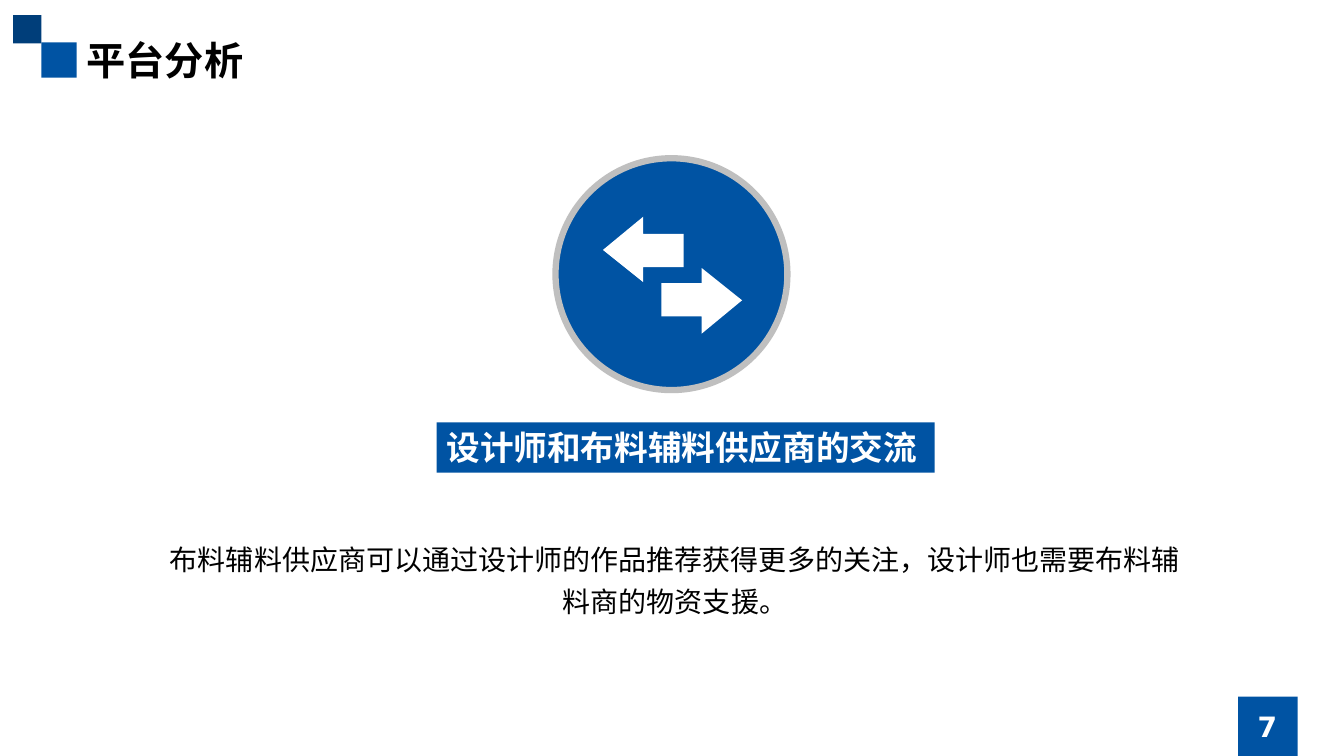
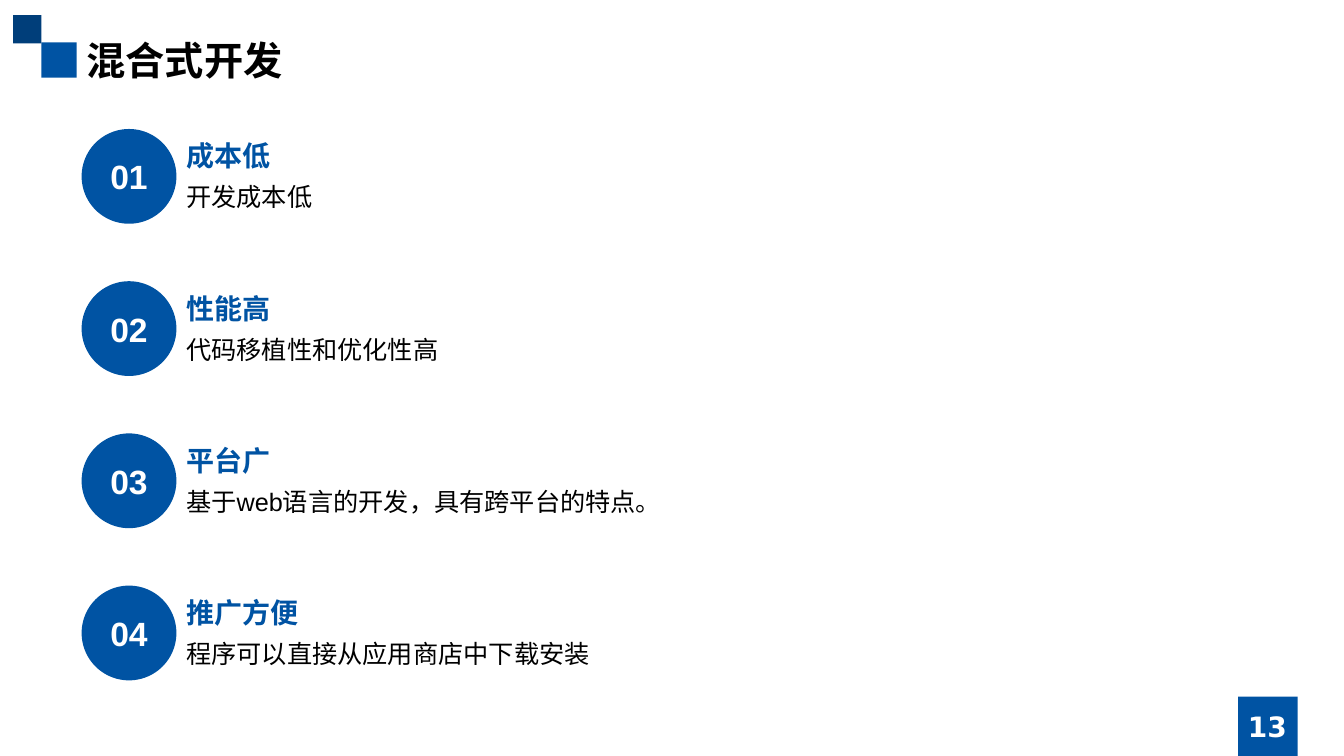
from dataclasses import dataclass

from lxml.etree import SubElement
from pptx import Presentation
from pptx.dml.color import RGBColor
from pptx.enum.shapes import MSO_SHAPE as Shp
from pptx.enum.text import MSO_ANCHOR as Anchor, MSO_AUTO_SIZE as AutoSize, PP_ALIGN as Align
from pptx.oxml.ns import qn
from pptx.presentation import Presentation as Deck
from pptx.shapes.autoshape import Shape
from pptx.slide import Slide
from pptx.util import Emu, Pt

EMU_PER_PX = 9144
COLORS = {"blue": "0053A3", "navy": "003E7A", "gray": "BFBFBF", "white": "FFFFFF", "black": "000000"}
CJK = "Noto Sans CJK SC"


@dataclass(frozen=True)
class Box:
    x: int
    y: int
    w: int
    h: int


@dataclass(frozen=True)
class Style:
    size: int
    color: str
    font: str
    bold: bool = False
    align: Align = Align.LEFT
    anchor: Anchor = Anchor.TOP
    spacing: float = 1.0


@dataclass(frozen=True)
class Band:
    box: Box
    color: str


@dataclass(frozen=True)
class Benefit:
    heading: str
    detail: str


TITLE = Style(28, "black", CJK, bold=True)
PAGE = Style(20, "white", "DejaVu Sans", bold=True, align=Align.CENTER, anchor=Anchor.MIDDLE)
BANNER = Style(24, "white", "DejaVu Sans", bold=True)
BODY = Style(20, "black", "DejaVu Sans", align=Align.CENTER, spacing=1.25)
NUMBER = Style(24, "white", "Arial", bold=True, align=Align.CENTER, anchor=Anchor.MIDDLE)
HEADING = Style(20, "blue", "Arial", bold=True)
DETAIL = Style(18, "black", "Arial", spacing=1.25)

BANDS = [
    Band(Box(41, 42, 35, 35), "blue"),
    Band(Box(13, 15, 28, 28), "navy"),
    Band(Box(1228, 691, 59, 59), "blue"),
]
LEFT_ARROW = [(678, 265), (638, 265), (638, 280), (598, 248), (638, 215), (638, 232), (678, 232)]
RIGHT_ARROW = [(1334 - x, 546 - y) for x, y in LEFT_ARROW]
BENEFITS = [
    Benefit("成本低", "开发成本低"),
    Benefit("性能高", "代码移植性和优化性高"),
    Benefit("平台广", "基于web语言的开发，具有跨平台的特点。"),
    Benefit("推广方便", "程序可以直接从应用商店中下载安装"),
]
ROW_TOP, ROW_PITCH = 128, 151


def px(n: int) -> Emu:
    return Emu(n * EMU_PER_PX)


def rgb(name: str) -> RGBColor:
    return RGBColor.from_string(COLORS[name])


def place(box: Box) -> tuple[Emu, Emu, Emu, Emu]:
    return px(box.x), px(box.y), px(box.w), px(box.h)


def write(sp: Shape, text: str, style: Style) -> None:
    tf = sp.text_frame
    tf.text = text
    tf.word_wrap = True
    tf.auto_size = AutoSize.NONE
    tf.vertical_anchor = style.anchor
    p = tf.paragraphs[0]
    p.alignment = style.align
    p.line_spacing = style.spacing
    p.space_before = Pt(0)
    for r in p.runs:
        r.font.size = Pt(style.size)
        r.font.bold = style.bold
        r.font.color.rgb = rgb(style.color)
        r.font.name = style.font
        SubElement(r._r.get_or_add_rPr(), qn("a:ea"), typeface=CJK)


def fill(sp: Shape, color: str) -> None:
    sp.shadow.inherit = False
    sp.fill.solid()
    sp.fill.fore_color.rgb = rgb(color)
    sp.line.fill.background()


def add_shape(s: Slide, kind: Shp, box: Box, color: str) -> Shape:
    sp = s.shapes.add_shape(kind, *place(box))
    fill(sp, color)
    return sp


def add_text(s: Slide, box: Box, text: str, style: Style) -> None:
    write(s.shapes.add_textbox(*place(box)), text, style)


def fill_placeholder(sp: Shape, box: Box, text: str, style: Style) -> None:
    sp.left, sp.top, sp.width, sp.height = place(box)
    write(sp, text, style)
    pPr = sp.text_frame.paragraphs[0]._p.get_or_add_pPr()
    pPr.set("marL", "0")
    pPr.set("indent", "0")
    SubElement(pPr, qn("a:buNone"))


def add_slide(prs: Deck, layout: str, title: str, page: int) -> Slide:
    s = prs.slides.add_slide(prs.slide_layouts.get_by_name(layout))
    fill_placeholder(s.shapes.title, Box(76, 31, 1181, 57), title, TITLE)
    add_text(s, Box(1181, 701, 152, 40), str(page), PAGE)
    return s


def move_bands_to_master(prs: Deck, s: Slide) -> None:
    tree = prs.slide_master.shapes.element
    for n, band in enumerate(BANDS):
        sp = add_shape(s, Shp.RECTANGLE, band.box, band.color)
        sp.element.nvSpPr.cNvPr.set("id", str(100 + n))
        tree.insert(2, sp.element)


def add_exchange(s: Slide) -> None:
    circle = add_shape(s, Shp.OVAL, Box(551, 157, 230, 230), "blue")
    circle.line.color.rgb = rgb("gray")
    circle.line.width = Pt(4.5)
    builder = s.shapes.build_freeform(*LEFT_ARROW[0], scale=EMU_PER_PX)
    builder.add_line_segments(LEFT_ARROW[1:])
    builder.move_to(*RIGHT_ARROW[0])
    builder.add_line_segments(RIGHT_ARROW[1:])
    fill(builder.convert_to_shape(), "white")
    banner = add_shape(s, Shp.RECTANGLE, Box(433, 419, 494, 50), "blue")
    write(banner, "设计师和布料辅料供应商的交流", BANNER)
    text = "布料辅料供应商可以通过设计师的作品推荐获得更多的关注，设计师也需要布料辅料商的物资支援。"
    fill_placeholder(s.placeholders[1], Box(155, 525, 1029, 94), text, BODY)


def add_benefits(s: Slide) -> None:
    for n, benefit in enumerate(BENEFITS):
        top = ROW_TOP + n * ROW_PITCH
        circle = add_shape(s, Shp.OVAL, Box(81, top, 94, 94), "blue")
        write(circle, f"{n + 1:02}", NUMBER)
        add_text(s, Box(175, top + 5, 1083, 44), benefit.heading, HEADING)
        add_text(s, Box(175, top + 40, 1083, 46), benefit.detail, DETAIL)


def main() -> None:
    prs = Presentation()
    prs.slide_width, prs.slide_height = px(1333), px(750)
    s = add_slide(prs, "Title and Content", "平台分析", 7)
    move_bands_to_master(prs, s)
    add_exchange(s)
    add_benefits(add_slide(prs, "Title Only", "混合式开发", 13))
    prs.save("out.pptx")


if __name__ == "__main__":
    main()
